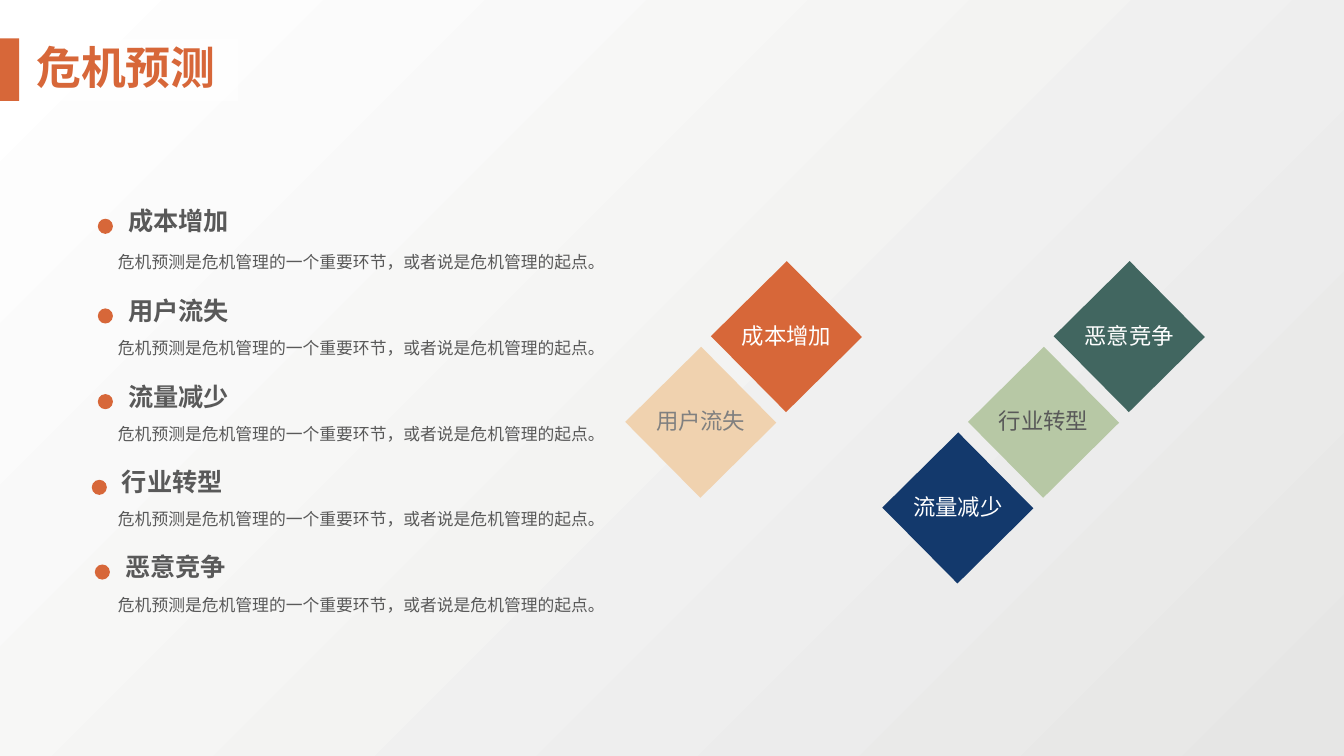
import pptx
import pptx.dml.color
import pptx.enum.shapes
import pptx.enum.text
import pptx.oxml.ns
import pptx.oxml.xmlchemy
import pptx.util

FONT = "Noto Sans CJK SC"
ORANGE, GREY, WHITE = "D76739", "595959", "FFFFFF"
DETAIL = "危机预测是危机管理的一个重要环节，或者说是危机管理的起点。"
STEP = 0.85  # row and column pitch of both the list and the diamonds

# heading, left and top of its dot
RISKS = [
    ("成本增加", 0.97, 2.17),
    ("用户流失", 0.97, 3.06),
    ("流量减少", 0.97, 3.91),
    ("行业转型", 0.91, 4.76),
    ("恶意竞争", 0.94, 5.60),
]
# label, column, row, fill, text colour
DIAMONDS = [
    ("成本增加", 1, 0, ORANGE, WHITE),
    ("流量减少", 3, 2, "13396C", WHITE),
    ("用户流失", 0, 1, "F0D2AF", "808080"),
    ("行业转型", 4, 1, "B7C8A5", GREY),
    ("恶意竞争", 5, 0, "416660", WHITE),
]
DIAMOND_X, DIAMOND_Y, DIAMOND_SIDE = 6.95, 3.34, 1.06
LABEL_W, LABEL_H = 1.7, 0.37
SHAPE = pptx.enum.shapes.MSO_SHAPE
ALIGN = pptx.enum.text.PP_ALIGN


def rgb(value):
    return pptx.dml.color.RGBColor.from_string(value)


def inches(*values):
    return [pptx.util.Inches(v) for v in values]


def new_element(tag, name, value):
    """Make an XML element with one attribute."""
    element = pptx.oxml.xmlchemy.OxmlElement(tag)
    element.set(name, value)
    return element


def add_block(s, kind, box, color, rotation=0, alpha=None):
    """Add a plain filled shape; alpha is its opacity in percent."""
    sp = s.shapes.add_shape(kind, *inches(*box))
    sp.shadow.inherit = False
    sp.rotation = rotation
    sp.fill.solid()
    sp.fill.fore_color.rgb = rgb(color)
    sp.line.fill.background()
    if alpha is not None:
        clr = sp.element.spPr.find(".//" + pptx.oxml.ns.qn("a:srgbClr"))
        clr.append(new_element("a:alpha", "val", str(alpha * 1000)))


def write_text(sp, text, size, color, bold=False, **paragraph_format):
    """Fill a text box or placeholder with one formatted paragraph."""
    tf = sp.text_frame
    frame_format = {
        "word_wrap": True,
        "auto_size": pptx.enum.text.MSO_AUTO_SIZE.SHAPE_TO_FIT_TEXT,
        "vertical_anchor": pptx.enum.text.MSO_ANCHOR.TOP,
    }
    for name, value in frame_format.items():
        setattr(tf, name, value)
    p = tf.paragraphs[0]
    for name, value in paragraph_format.items():
        setattr(p, name, value)
    r = p.add_run()
    r.text = text
    run_format = {"name": FONT, "size": pptx.util.Pt(size), "bold": bold}
    for name, value in run_format.items():
        setattr(r.font, name, value)
    r.font.color.rgb = rgb(color)
    latin = r.font._element.find(pptx.oxml.ns.qn("a:latin"))
    latin.addnext(new_element("a:ea", "typeface", FONT))


def add_text(s, box, *args, **formats):
    sp = s.shapes.add_textbox(*inches(*box))
    write_text(sp, *args, **formats)
    return sp


def set_background(s):
    fill = s.background.fill
    fill.gradient()
    fill.gradient_angle = 135
    for stop, color in zip(fill.gradient_stops, ("E6E6E5", WHITE)):
        stop.color.rgb = rgb(color)


def add_title(s, text):
    add_block(s, SHAPE.RECTANGLE, (-0.05, 0.38, 2.41, 0.62), WHITE, alpha=72)
    add_block(s, SHAPE.RECTANGLE, (0, 0.38, 0.19, 0.62), ORANGE)
    title = s.shapes.title
    title.left, title.top, title.width, title.height = inches(0.02, 0.34, 2.46, 0.64)
    write_text(title, text, 32, ORANGE, bold=True, alignment=ALIGN.CENTER)
    title.element.getparent().append(title.element)  # in front of its band


def add_diamond(s, column, row, color):
    half = DIAMOND_SIDE / 2
    box = (DIAMOND_X + column * STEP - half, DIAMOND_Y + row * STEP - half,
           DIAMOND_SIDE, DIAMOND_SIDE)
    add_block(s, SHAPE.RECTANGLE, box, color, rotation=45.3)


def add_diamond_label(s, text, column, row, color):
    box = (DIAMOND_X + column * STEP - LABEL_W / 2,
           DIAMOND_Y + row * STEP - LABEL_H / 2 - 0.01, LABEL_W, LABEL_H)
    add_text(s, box, text, 16, color, alignment=ALIGN.CENTER)


def add_risk(s, row, heading, x, y):
    """Add one list entry: dot, heading and the detail line under it."""
    add_block(s, SHAPE.OVAL, (x, y, 0.15, 0.15), ORANGE)
    add_text(s, (x - 0.05, y - 0.18, 1.7, 0.4), heading, 18, GREY,
             bold=True, alignment=ALIGN.CENTER)
    detail = add_text(s, (0.85, 2.35 + row * STEP, 5.38, 0.4), DETAIL, 12, GREY,
                      alignment=ALIGN.LEFT, line_spacing=1.5)
    detail.text_frame.margin_left = pptx.util.Inches(0.32)


def main():
    prs = pptx.Presentation()
    prs.slide_width, prs.slide_height = inches(13.33, 7.5)
    s = prs.slides.add_slide(prs.slide_layouts.get_by_name("Title Only"))
    set_background(s)
    add_title(s, "危机预测")
    for _, column, row, fill, _ in DIAMONDS:
        add_diamond(s, column, row, fill)
    for label, column, row, _, color in DIAMONDS:
        add_diamond_label(s, label, column, row, color)
    for row, risk in enumerate(RISKS):
        add_risk(s, row, *risk)
    prs.save("out.pptx")


if __name__ == "__main__":
    main()
